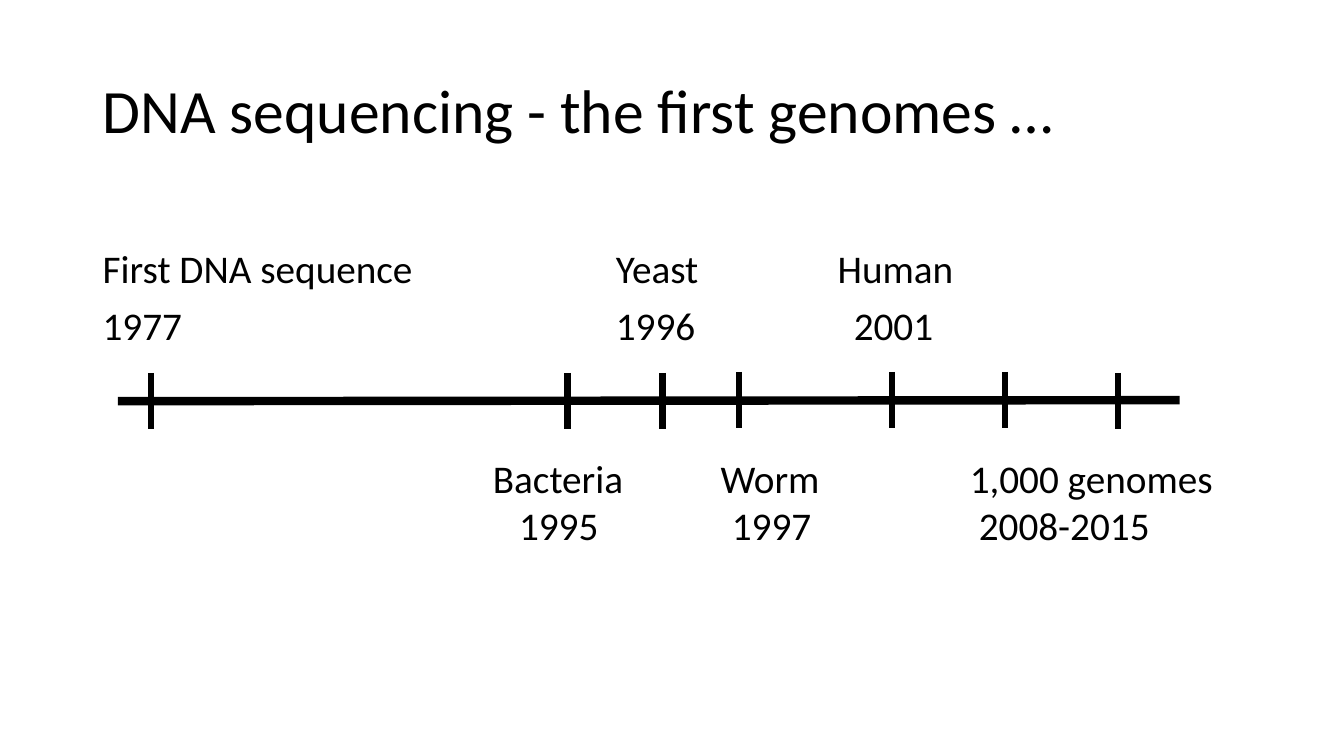
from dataclasses import dataclass

from lxml import etree
from pptx import Presentation
from pptx.dml.color import RGBColor
from pptx.enum.shapes import MSO_CONNECTOR as Connector
from pptx.enum.text import MSO_ANCHOR as Anchor
from pptx.oxml.ns import qn
from pptx.slide import Slide
from pptx.util import Emu, Pt

PX = 9144  # 100 px to the inch


@dataclass(frozen=True)
class Theme:
    font: str = "Calibri"
    ink: RGBColor = RGBColor(0, 0, 0)
    title_size: int = 44
    label_size: int = 28
    axis_width: float = 6
    tick_width: float = 4.5


@dataclass(frozen=True)
class Row:
    """A line of text whose further columns start at the given tab stops."""
    text: str
    stops: tuple[int, ...] = ()


@dataclass(frozen=True)
class TextBlock:
    left: int
    top: int
    width: int
    height: int
    rows: tuple[Row, ...]
    size: int
    line_spacing: float = 1.0
    gap: int = 0
    anchor: Anchor = Anchor.TOP


@dataclass(frozen=True)
class Stroke:
    start: tuple[int, int]
    end: tuple[int, int]
    width: float


THEME = Theme()

TITLE = TextBlock(92, 40, 1150, 145, (Row("DNA sequencing - the first genomes …"),),
                  THEME.title_size, line_spacing=0.9, anchor=Anchor.MIDDLE)
LABELS_ABOVE = TextBlock(92, 243, 1150, 432, (
    Row("First DNA sequence\tYeast\tHuman", (509, 729)),
    Row("1977\t1996\t2001", (509, 745)),
), THEME.label_size, line_spacing=0.9, gap=10)
LABELS_BELOW = TextBlock(479, 446, 762, 104, (
    Row("Bacteria\tWorm\t1,000 genomes", (226, 473)),
    Row("\t1995\t1997\t2008-2015", (26, 237, 482)),
), THEME.label_size)

AXIS = Stroke((117, 398), (1170, 397), THEME.axis_width)
TICK_HEIGHT = 56
TICKS = ((150, 370), (563, 370), (657, 370), (733, 369), (885, 369), (997, 369), (1109, 370))


def px(length: int) -> Emu:
    return Emu(length * PX)


def draw_text(slide: Slide, block: TextBlock) -> None:
    box = slide.shapes.add_textbox(
        px(block.left), px(block.top), px(block.width), px(block.height))
    frame = box.text_frame
    frame.word_wrap = True
    frame.vertical_anchor = block.anchor
    for index, row in enumerate(block.rows):
        paragraph = frame.add_paragraph() if index else frame.paragraphs[0]
        paragraph.text = row.text
        paragraph.line_spacing = block.line_spacing
        paragraph.space_before = Pt(block.gap if index else 0)
        if row.stops:
            tab_list = etree.SubElement(paragraph._p.get_or_add_pPr(), qn("a:tabLst"))
            for stop in row.stops:
                etree.SubElement(tab_list, qn("a:tab"), pos=str(px(stop)), algn="l")
        font_format = {"name": THEME.font, "size": Pt(block.size)}
        for run in paragraph.runs:
            for name, value in font_format.items():
                setattr(run.font, name, value)
            run.font.color.rgb = THEME.ink


def draw_stroke(slide: Slide, stroke: Stroke) -> None:
    connector = slide.shapes.add_connector(
        Connector.STRAIGHT, *map(px, stroke.start + stroke.end))
    connector.line.width = Pt(stroke.width)
    connector.line.color.rgb = THEME.ink
    etree.SubElement(connector._element.spPr, qn("a:effectLst"))


def main() -> None:
    presentation = Presentation()
    presentation.slide_width, presentation.slide_height = px(1333), px(750)
    slide = presentation.slides.add_slide(presentation.slide_layouts[6])
    for block in (TITLE, LABELS_ABOVE, LABELS_BELOW):
        draw_text(slide, block)
    draw_stroke(slide, AXIS)
    for x, top in TICKS:
        draw_stroke(slide, Stroke((x, top), (x, top + TICK_HEIGHT), THEME.tick_width))
    presentation.save("out.pptx")


if __name__ == "__main__":
    main()
